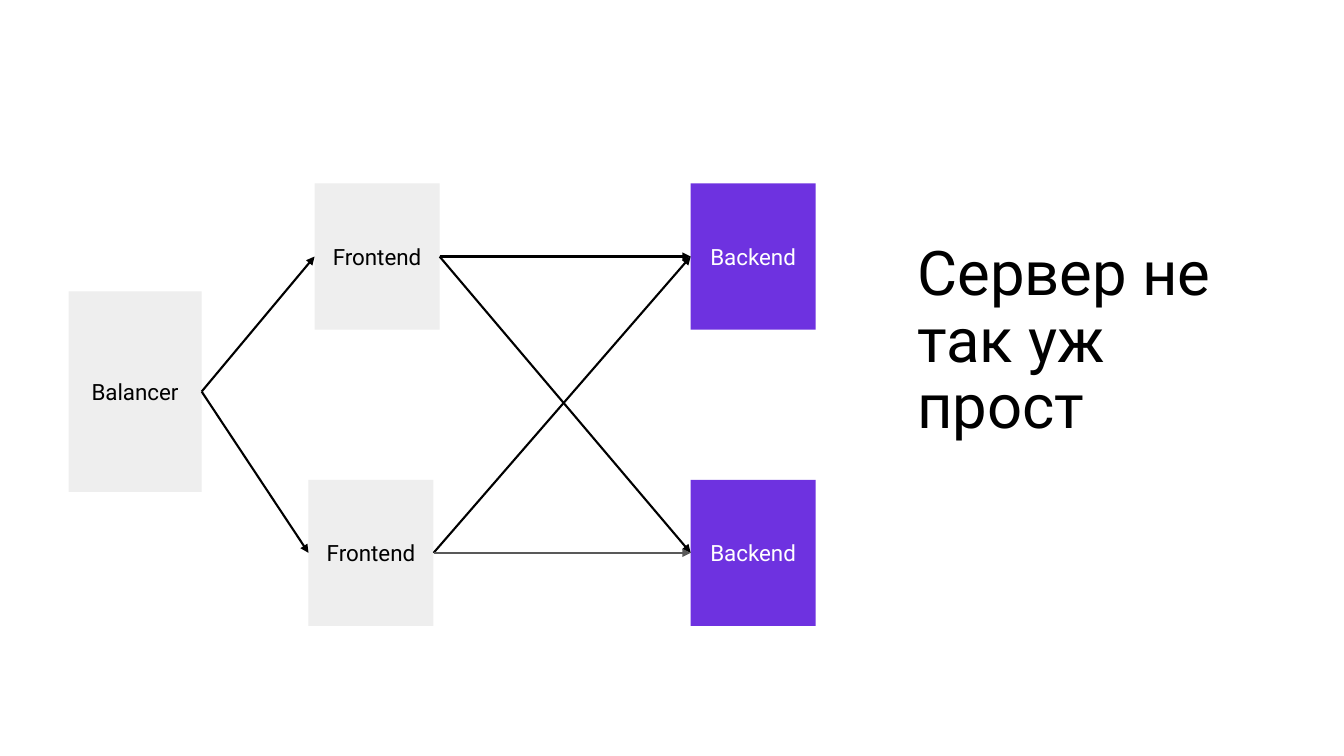
"""Build a slide showing a balancer, two frontends and two backends."""
from lxml.etree import SubElement
from pptx import Presentation
from pptx.dml.color import RGBColor
from pptx.enum.shapes import MSO_CONNECTOR, MSO_SHAPE
from pptx.enum.text import MSO_ANCHOR, PP_ALIGN
from pptx.oxml.ns import qn
from pptx.util import Inches, Pt

THEME = {
    "font": "Roboto", "title_size": 44, "label_size": 16, "line_width": 1.5,
    "black": "000000", "white": "FFFFFF", "grey": "EEEEEE",
    "purple": "6E32E0", "dark_grey": "595959",
}

TITLE = "Сервер не так уж прост"
TITLE_AREA = (9, 0.5, 3.5, 5.79)

SERVER_SIZE = (1.24, 1.45)
TOP_ROW, BOTTOM_ROW = 1.82, 4.76
NODES = {
    "balancer": ("Balancer", (0.68, 2.89), (1.32, 1.99), "grey", "black"),
    "frontend_top": ("Frontend", (3.12, TOP_ROW), SERVER_SIZE, "grey", "black"),
    "frontend_bottom": ("Frontend", (3.06, BOTTOM_ROW), SERVER_SIZE, "grey", "black"),
    "backend_top": ("Backend", (6.85, TOP_ROW), SERVER_SIZE, "purple", "white"),
    "backend_bottom": ("Backend", (6.85, BOTTOM_ROW), SERVER_SIZE, "purple", "white"),
}
ARROWS = [
    ("balancer", "frontend_top", "black"),
    ("balancer", "frontend_bottom", "black"),
    ("frontend_top", "backend_bottom", "black"),
    ("frontend_top", "backend_top", "black"),
    ("frontend_bottom", "backend_top", "black"),
    ("frontend_bottom", "backend_bottom", "dark_grey"),
]
RIGHT_SIDE, LEFT_SIDE = 3, 1


def color(name):
    return RGBColor.from_string(THEME[name])


def write(box, text, size, text_color, alignment, vertical_margin):
    frame = box.text_frame
    frame.text = text
    frame.word_wrap = True
    frame.vertical_anchor = MSO_ANCHOR.MIDDLE
    frame.margin_left = frame.margin_right = Inches(0.1)
    frame.margin_top = frame.margin_bottom = Inches(vertical_margin)
    para = frame.paragraphs[0]
    para.alignment = alignment
    font = para.runs[0].font
    font.name = THEME["font"]
    font.size = Pt(THEME[size])
    font.color.rgb = color(text_color)
    return para


def add_title(page):
    box = page.shapes.add_textbox(*map(Inches, TITLE_AREA))
    para = write(box, TITLE, "title_size", "black", PP_ALIGN.LEFT, 0.05)
    para.line_spacing = 0.9


def add_node(page, label, position, size, fill, text_color):
    box = page.shapes.add_shape(MSO_SHAPE.RECTANGLE, *map(Inches, position + size))
    box.shadow.inherit = False
    box.fill.solid()
    box.fill.fore_color.rgb = color(fill)
    box.line.fill.background()
    write(box, label, "label_size", text_color, PP_ALIGN.CENTER, 0.1)
    return box


def add_arrow(page, source, target, line_color):
    arrow = page.shapes.add_connector(MSO_CONNECTOR.STRAIGHT, 0, 0, 0, 0)
    arrow.begin_connect(source, RIGHT_SIDE)
    arrow.end_connect(target, LEFT_SIDE)
    arrow.line.color.rgb = color(line_color)
    arrow.line.width = Pt(THEME["line_width"])
    properties = arrow.element.spPr
    SubElement(properties.find(qn("a:ln")), qn("a:tailEnd"), type="triangle")
    SubElement(properties, qn("a:effectLst"))


def main():
    deck = Presentation()
    deck.slide_width, deck.slide_height = Inches(13.33), Inches(7.5)
    page = deck.slides.add_slide(deck.slide_layouts[6])
    add_title(page)
    boxes = {name: add_node(page, *node) for name, node in NODES.items()}
    for source, target, line_color in ARROWS:
        add_arrow(page, boxes[source], boxes[target], line_color)
    deck.save("out.pptx")


if __name__ == "__main__":
    main()
